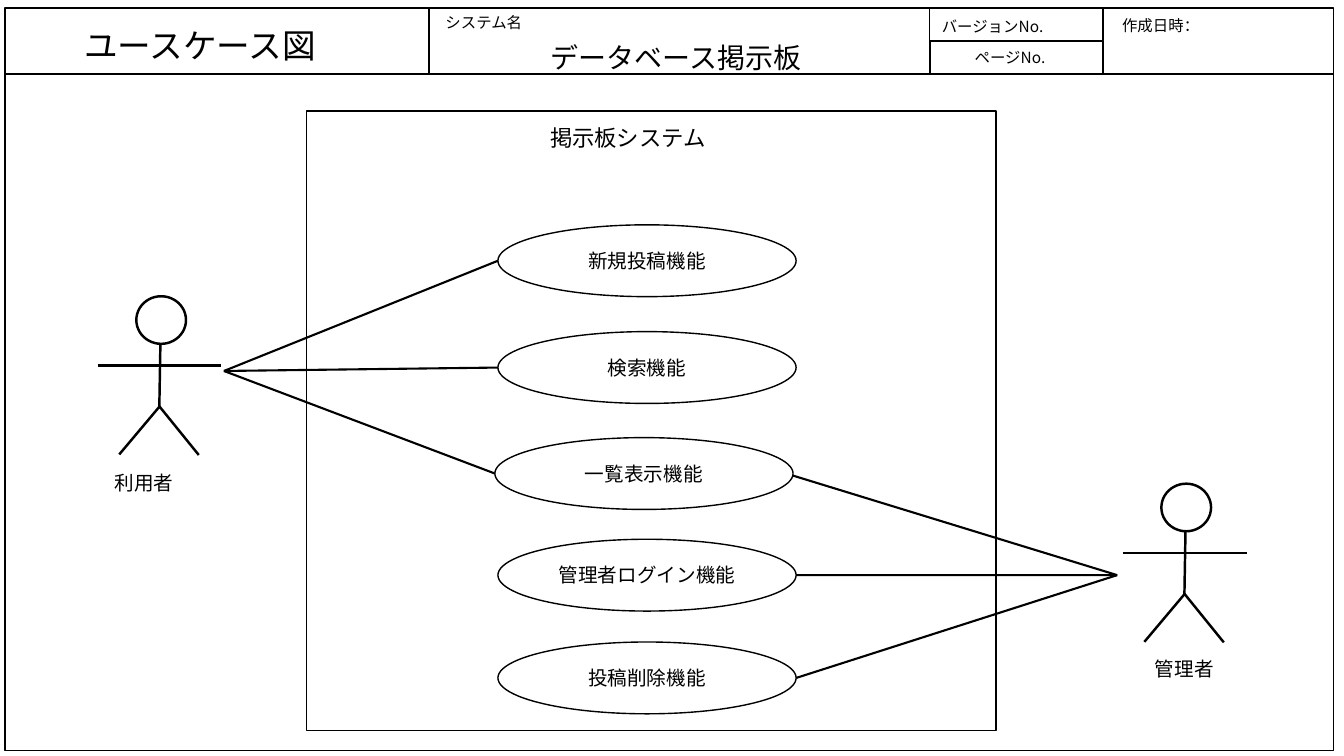
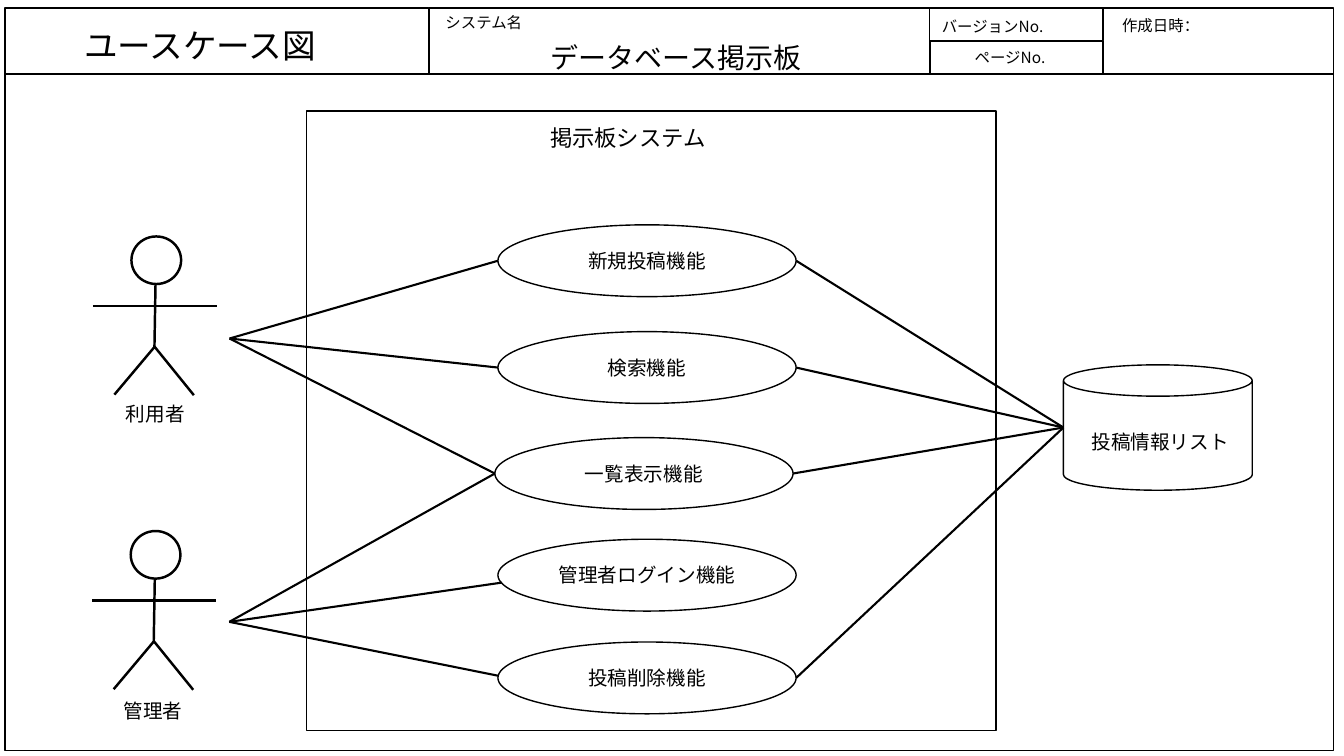
from dataclasses import dataclass
from typing import Any

from lxml import etree
from pptx import Presentation
from pptx.dml.color import RGBColor
from pptx.enum.shapes import MSO_CONNECTOR, MSO_SHAPE
from pptx.enum.text import MSO_ANCHOR, MSO_AUTO_SIZE, PP_ALIGN
from pptx.oxml.ns import qn
from pptx.util import Pt

RECTANGLE, OVAL, CAN = MSO_SHAPE.RECTANGLE, MSO_SHAPE.OVAL, MSO_SHAPE.CAN
STRAIGHT = MSO_CONNECTOR.STRAIGHT
TOP, MIDDLE = MSO_ANCHOR.TOP, MSO_ANCHOR.MIDDLE
CENTER, RIGHT = PP_ALIGN.CENTER, PP_ALIGN.RIGHT
TITLE_ONLY = 5


@dataclass(frozen=True)
class Theme:
    """Colours, font, type sizes and line weights in points."""
    ink: RGBColor = RGBColor(0, 0, 0)
    font: str = "Noto Sans CJK JP"
    title: float = 24
    system_name: float = 20
    boundary: float = 16
    body: float = 14
    small: float = 11
    thin: float = 1
    link: float = 1.5
    actor: float = 1.75


THEME = Theme()


@dataclass(frozen=True)
class Box:
    """A rectangle in points."""
    left: float
    top: float
    width: float
    height: float

    def lengths(self) -> tuple[Pt, ...]:
        """Return the four lengths for python-pptx."""
        return Pt(self.left), Pt(self.top), Pt(self.width), Pt(self.height)


@dataclass(frozen=True)
class Label:
    """Text with its place and format."""
    text: str
    box: Box
    size: float = THEME.body
    align: PP_ALIGN = CENTER
    anchor: MSO_ANCHOR = MIDDLE


@dataclass(frozen=True)
class Actor:
    """A stick figure, placed by its top left, and its name."""
    name: str
    left: float
    top: float
    name_left: float
    name_top: float


@dataclass(frozen=True)
class Link:
    """A line from a hub to one side of a use case."""
    hub: tuple[float, float]
    case: str
    side: str
    nudge: tuple[float, float] = (0, 0)


@dataclass(frozen=True)
class Diagram:
    """What differs from slide to slide."""
    actors: tuple[Actor, ...]
    links: tuple[Link, ...]
    store: str = ""


POST, SEARCH, LISTING = "新規投稿機能", "検索機能", "一覧表示機能"
LOGIN, DELETE = "管理者ログイン機能", "投稿削除機能"
USER, ADMIN = "利用者", "管理者"

TITLE = Label("ユースケース図", Box(38.9, 17.3, 208, 35.3), THEME.title, anchor=TOP)
HEADER_LABELS = (
    Label("データベース掲示板", Box(289.4, 25.9, 387.4, 29.5), THEME.system_name),
    Label("システム名", Box(301, 8.6, 89.3, 35.3), THEME.small, anchor=TOP),
    Label("バージョンNo.", Box(643.7, 11.5, 108.7, 20.9), THEME.small, RIGHT, TOP),
    Label("ページNo.", Box(663.8, 33.8, 90, 19.4), THEME.small, RIGHT, TOP),
    Label("作成日時：", Box(781.2, 10.8, 95.8, 17.3), THEME.small, anchor=TOP),
)
FRAME_BOXES = (
    Box(3.6, 52.8, 949, 483.1),
    Box(3.6, 5.8, 302.7, 47),
    Box(306.4, 5.8, 357.8, 47),
    Box(664, 5.8, 123.8, 23.3),
    Box(664.4, 29.3, 123.5, 23.5),
    Box(787.7, 5.8, 164.9, 47),
)
BOUNDARY = Box(218.9, 79.2, 492.5, 442.8)
BOUNDARY_NAME = Label("掲示板システム", Box(368.6, 85, 159.8, 26.6), THEME.boundary)
CASE_PLACES = {
    POST: (355.7, 160.6),
    SEARCH: (355.7, 236.9),
    LISTING: (353.5, 312.6),
    LOGIN: (355.7, 385.2),
    DELETE: (355.7, 458.6),
}
CASE_BOXES = {name: Box(left, top, 213, 51.3)
              for name, (left, top) in CASE_PLACES.items()}
HEAD = Box(27.6, 0, 35.5, 34)
LIMBS = (
    ((0, 49.5), (88.4, 49.5)),
    ((44.8, 33.7), (44, 80.2)),
    ((15.4, 113), (44, 79)),
    ((44, 78.6), (72.2, 113.4)),
)
STORE_BOX = Box(759.6, 260.6, 134.9, 89.6)
STORE_NAME_BOX = Box(762.5, 302.4, 132.5, 26.6)
STORE_HUB = (759.6, 305.4)

USER_HUB, ADMIN_HUB = (160, 265), (798, 410.8)
USER_HUB_2, ADMIN_HUB_2 = (164, 241.8), (163.8, 444.2)

DIAGRAMS = (
    Diagram(
        actors=(Actor(USER, 69.8, 211.6, 48.2, 331.2),
                Actor(ADMIN, 802, 345.5, 791.3, 464.4)),
        links=(*(Link(USER_HUB, case, "left") for case in (POST, SEARCH, LISTING)),
               Link(ADMIN_HUB, LISTING, "right", (0, 1.5)),
               Link(ADMIN_HUB, LOGIN, "right"),
               Link(ADMIN_HUB, DELETE, "right")),
    ),
    Diagram(
        actors=(Actor(USER, 66.3, 168.9, 56.2, 282.2),
                Actor(ADMIN, 65.8, 379.3, 54.7, 494.6)),
        links=(*(Link(USER_HUB_2, case, "left") for case in (POST, SEARCH, LISTING)),
               Link(ADMIN_HUB_2, LISTING, "left"),
               Link(ADMIN_HUB_2, LOGIN, "left", (2.9, 5.3)),
               Link(ADMIN_HUB_2, DELETE, "left", (0, -1.6)),
               *(Link(STORE_HUB, case, "right")
                 for case in (POST, SEARCH, LISTING, DELETE))),
        store="投稿情報リスト",
    ),
)


def set_format(target: Any, values: dict[str, Any]) -> None:
    """Set each named attribute of the target."""
    for name, value in values.items():
        setattr(target, name, value)


def write_text(shape: Any, label: Label) -> None:
    """Write and format the label's text in a shape."""
    frame = shape.text_frame
    set_format(frame, {
        "text": label.text,
        "word_wrap": True,
        "auto_size": MSO_AUTO_SIZE.NONE,
        "vertical_anchor": label.anchor,
        "margin_left": Pt(7.2),
        "margin_right": Pt(7.2),
        "margin_top": Pt(0.5),
        "margin_bottom": Pt(0.5),
    })
    paragraph = frame.paragraphs[0]
    paragraph.alignment = label.align
    font = paragraph.runs[0].font
    set_format(font, {"size": Pt(label.size), "name": THEME.font})
    font.color.rgb = THEME.ink
    properties = paragraph.runs[0]._r.get_or_add_rPr()
    etree.SubElement(properties, qn("a:ea"), typeface=THEME.font)


def add_label(shapes: Any, label: Label) -> None:
    """Add a text box."""
    write_text(shapes.add_textbox(*label.box.lengths()), label)


def add_outline(shapes: Any, kind: MSO_SHAPE, box: Box,
                weight: float = THEME.thin) -> Any:
    """Add an unfilled outlined shape."""
    shape = shapes.add_shape(kind, *box.lengths())
    shape.shadow.inherit = False
    shape.fill.background()
    shape.line.color.rgb = THEME.ink
    shape.line.width = Pt(weight)
    return shape


def add_line(shapes: Any, start: tuple[float, float], end: tuple[float, float],
             weight: float) -> None:
    """Add a straight line without a shadow."""
    line = shapes.add_connector(STRAIGHT, *(Pt(value) for value in (*start, *end)))
    line.line.color.rgb = THEME.ink
    line.line.width = Pt(weight)
    etree.SubElement(line._element.spPr, qn("a:effectLst"))


def add_actor(shapes: Any, actor: Actor) -> None:
    """Add a grouped stick figure and its name."""
    figure = shapes.add_group_shape().shapes
    head = Box(actor.left + HEAD.left, actor.top + HEAD.top, HEAD.width, HEAD.height)
    add_outline(figure, OVAL, head, THEME.actor)
    for limb in LIMBS:
        start, end = ((actor.left + x, actor.top + y) for x, y in limb)
        add_line(figure, start, end, THEME.actor)
    add_label(shapes, Label(actor.name, Box(actor.name_left, actor.name_top, 109.4, 26.6)))


def add_link(shapes: Any, link: Link) -> None:
    """Join a hub to the middle of a use case's side."""
    box = CASE_BOXES[link.case]
    x = box.left + (box.width if link.side == "right" else 0)
    y = box.top + box.height / 2
    add_line(shapes, link.hub, (x + link.nudge[0], y + link.nudge[1]), THEME.link)


def add_sheet(slide: Any) -> None:
    """Add the title, header form and page frame."""
    title = slide.shapes.title
    names = ("left", "top", "width", "height")
    set_format(title, dict(zip(names, TITLE.box.lengths())))
    write_text(title, TITLE)
    frame = slide.shapes.add_group_shape().shapes
    for box in FRAME_BOXES:
        add_outline(frame, RECTANGLE, box)
    for label in HEADER_LABELS:
        add_label(slide.shapes, label)


def add_system(shapes: Any) -> None:
    """Add the system boundary and its use cases."""
    add_outline(shapes, RECTANGLE, BOUNDARY)
    add_label(shapes, BOUNDARY_NAME)
    for name, box in CASE_BOXES.items():
        write_text(add_outline(shapes, OVAL, box), Label(name, box))


def add_diagram(presentation: Any, diagram: Diagram) -> None:
    """Add one use case slide."""
    slide = presentation.slides.add_slide(presentation.slide_layouts[TITLE_ONLY])
    add_sheet(slide)
    add_system(slide.shapes)
    for actor in diagram.actors:
        add_actor(slide.shapes, actor)
    if diagram.store:
        add_outline(slide.shapes, CAN, STORE_BOX)
        add_label(slide.shapes, Label(diagram.store, STORE_NAME_BOX))
    for link in diagram.links:
        add_link(slide.shapes, link)


def main() -> None:
    """Build and save the presentation."""
    presentation = Presentation()
    set_format(presentation, {"slide_width": Pt(960), "slide_height": Pt(540)})
    for diagram in DIAGRAMS:
        add_diagram(presentation, diagram)
    presentation.save("out.pptx")


main()
